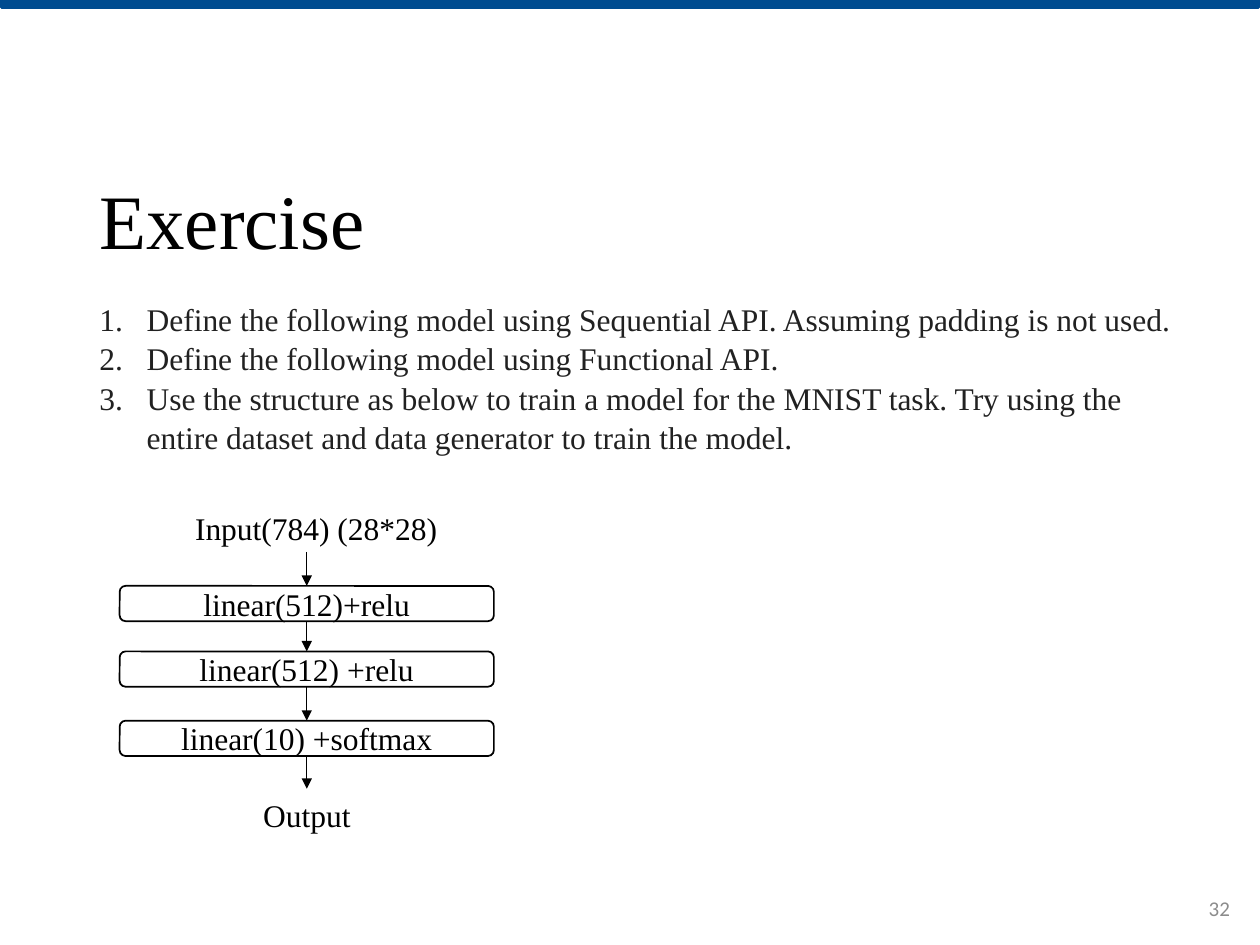
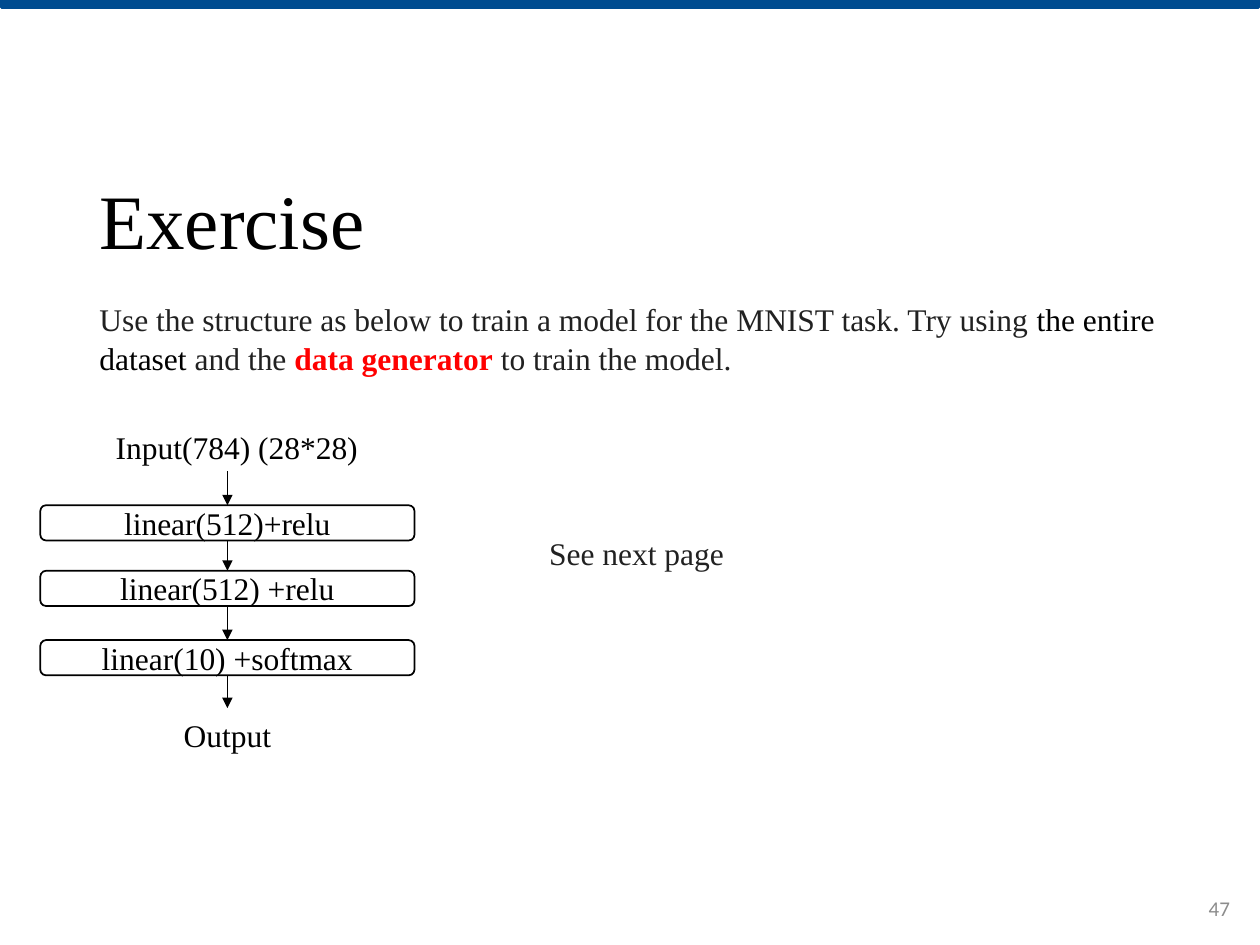
import pptx
import pptx.util
import pptx.dml.color
import pptx.enum.shapes
import pptx.enum.text
import pptx.oxml.ns
from lxml import etree

ALIGN = pptx.enum.text.PP_ALIGN
ANCHOR = pptx.enum.text.MSO_ANCHOR
SHAPE = pptx.enum.shapes.MSO_SHAPE

COLUMNS, ROWS = 100, 75
BLACK, INK, GREY, RED, BLUE, WHITE = "000000", "212121", "8C8C8C", "FF0000", "004C90", "FFFFFF"
SERIF, SANS = "Times New Roman", "Calibri"

LAYERS = ["linear(512)+relu", "linear(512) +relu", "linear(10) +softmax"]
LAYER_OFFSETS = [0, 5.2, 10.7]
LAYER_WIDTH, LAYER_HEIGHT, ARROW_LENGTH = 29.7, 2.8, 2.7
OUTPUT_OFFSET = 16.1


def color(hex_string):
    return pptx.dml.color.RGBColor.from_string(hex_string)


def add_xml(parent, tag, **attributes):
    return etree.SubElement(parent, pptx.oxml.ns.qn(tag), **attributes)


class Deck:
    def __init__(self):
        self.presentation = pptx.Presentation()
        self.presentation.slide_width = pptx.util.Inches(10)
        self.presentation.slide_height = pptx.util.Inches(7.5)
        self.slide = None

    def x(self, columns):
        return round(self.presentation.slide_width * columns / COLUMNS)

    def y(self, rows):
        return round(self.presentation.slide_height * rows / ROWS)

    def place(self, left, top, width, height):
        return self.x(left), self.y(top), self.x(width), self.y(height)

    def start_slide(self, title, number):
        self.slide = self.presentation.slides.add_slide(self.presentation.slide_layouts[6])
        band = self.shape(SHAPE.SNIP_2_SAME_RECTANGLE, (0, 0, 100, 0.7), BLUE)
        band.rotation = 180
        self.text((6.9, 12.4, 79.5, 10.9), [title], size=44, ink=BLACK,
                  anchor=ANCHOR.MIDDLE, spacing=0.9)
        self.text((76.1, 70.1, 22.5, 4), [number], size=12, ink=GREY, font=SANS,
                  anchor=ANCHOR.MIDDLE, align=ALIGN.RIGHT, spacing=1)

    def fill_paragraph(self, paragraph, content, size=18, ink=INK, font=SERIF, align=ALIGN.LEFT):
        paragraph.alignment = align
        paragraph.font.size = pptx.util.Pt(size)
        paragraph.font.name = font
        paragraph.font.color.rgb = color(ink)
        if isinstance(content, str):
            paragraph.add_run().text = content
            return
        for words, words_ink, bold in content:
            run = paragraph.add_run()
            run.text = words
            run.font.color.rgb = color(words_ink)
            run.font.bold = bold

    def text(self, area, paragraphs, anchor=ANCHOR.TOP, spacing=1.04, wrap=True,
             numbered=False, **style):
        frame = self.slide.shapes.add_textbox(*self.place(*area)).text_frame
        frame.word_wrap = wrap
        frame.vertical_anchor = anchor
        for index, content in enumerate(paragraphs):
            paragraph = frame.add_paragraph() if index else frame.paragraphs[0]
            self.fill_paragraph(paragraph, content, **style)
            paragraph.line_spacing = spacing
            if numbered:
                self.number(paragraph)

    def number(self, paragraph):
        properties = paragraph._p.get_or_add_pPr()
        indent = self.x(3.75)
        properties.set("marL", str(indent))
        properties.set("indent", str(-indent))
        numbering = add_xml(properties, "a:buAutoNum", type="arabicPeriod")
        properties.find(pptx.oxml.ns.qn("a:lnSpc")).addnext(numbering)

    def shape(self, kind, area, fill, line=None):
        shape = self.slide.shapes.add_shape(kind, *self.place(*area))
        shape.shadow.inherit = False
        shape.fill.solid()
        shape.fill.fore_color.rgb = color(fill)
        if line:
            shape.line.color.rgb = color(line)
            shape.line.width = pptx.util.Pt(1)
        else:
            shape.line.fill.background()
        return shape

    def layer(self, left, top, label):
        box = self.shape(SHAPE.ROUNDED_RECTANGLE, (left, top, LAYER_WIDTH, LAYER_HEIGHT),
                         WHITE, BLACK)
        box.text_frame.vertical_anchor = ANCHOR.MIDDLE
        self.fill_paragraph(box.text_frame.paragraphs[0], label, ink=BLACK, align=ALIGN.CENTER)

    def arrow(self, column, top, bottom):
        arrow = self.slide.shapes.add_connector(
            pptx.enum.shapes.MSO_CONNECTOR.STRAIGHT,
            self.x(column), self.y(top), self.x(column), self.y(bottom))
        arrow.line.color.rgb = color(BLACK)
        arrow.line.width = pptx.util.Pt(0.5)
        add_xml(arrow.line._get_or_add_ln(), "a:tailEnd", type="triangle")
        add_xml(arrow._element.spPr, "a:effectLst")

    def network(self, left, top):
        center = left + LAYER_WIDTH / 2
        arrow_start = top - ARROW_LENGTH
        for label, offset in zip(LAYERS, LAYER_OFFSETS):
            self.layer(left, top + offset, label)
            self.arrow(center, arrow_start, top + offset)
            arrow_start = top + offset + LAYER_HEIGHT
        self.arrow(center, arrow_start, top + OUTPUT_OFFSET)
        self.text((left + 5, top - 6.7, 21.4, 4), ["Input(784) (28*28)"], ink=BLACK, wrap=False)
        self.text((left + 10.4, top + OUTPUT_OFFSET, 9, 4), ["Output"], ink=BLACK, wrap=False)


def main():
    deck = Deck()

    deck.start_slide("Exercise", "32")
    deck.text((6.9, 23.2, 89.1, 16.2), [
        "Define the following model using Sequential API. Assuming padding is not used.",
        "Define the following model using Functional API.",
        "Use the structure as below to train a model for the MNIST task. "
        "Try using the entire dataset and data generator to train the model.",
    ], numbered=True)
    deck.network(9.5, 46.5)

    deck.start_slide("Exercise", "47")
    deck.text((6.9, 23.2, 89.1, 10.1), [[
        ("Use the structure as below to train a model for the MNIST task. Try using ", INK, False),
        ("the entire dataset ", BLACK, False),
        ("and the ", INK, False),
        ("data generator", RED, True),
        (" to train the model.", INK, False),
    ]])
    deck.network(3.2, 40.1)
    deck.text((42.6, 41.8, 52.3, 4), ["See next page"])

    deck.presentation.save("out.pptx")


if __name__ == "__main__":
    main()
